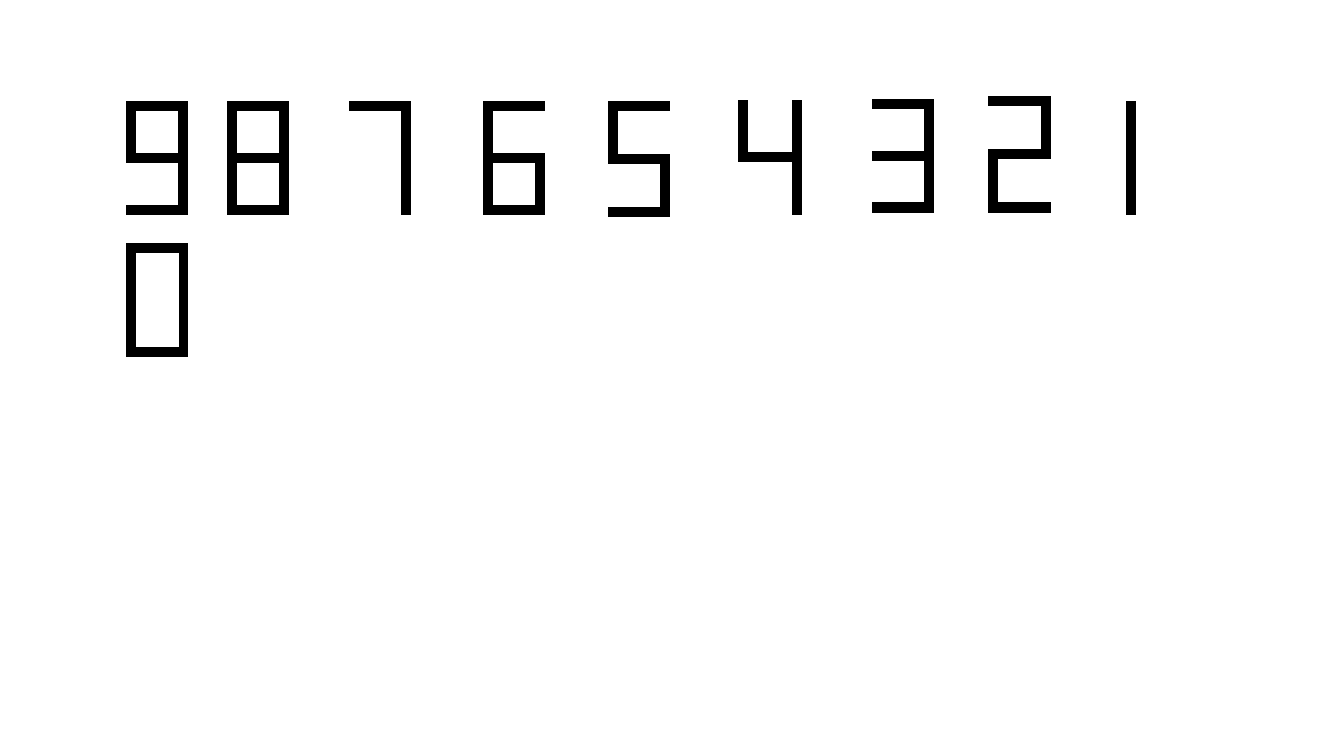
from lxml import etree
from pptx import Presentation
from pptx import util as u
from pptx.dml.color import RGBColor
from pptx.enum import shapes
from pptx.oxml import ns

COLORS = {"ink": "000000", "paper": "FFFFFF"}
STROKE = 0.2
ROW_TOP = 2.57
WIDTH, HEIGHT = 1.52, 2.82

OUTLINES = {
    9: ["a0 d0 d5 a5 a4 c4 c3 a3", "b1 c1 c2 b2"],
    8: ["a0 d0 d5 a5", "b1 c1 c2 b2", "b3 c3 c4 b4"],
    7: ["a0 d0 d5 c5 c1 a1"],
    6: ["a0 d0 d1 b1 b2 d2 d5 a5", "b3 c3 c4 b4"],
    5: ["a0 d0 d1 b1 b2 d2 d5 a5 a4 c4 c3 a3"],
    4: ["a0 b0 b2 c2 c0 d0 d5 c5 c3 a3"],
    3: ["a0 d0 d5 a5 a4 c4 c3 a3 a2 c2 c1 a1"],
    2: ["a0 d0 d3 b3 b4 d4 d5 a5 a2 c2 c1 a1"],
    1: ["a0 b0 b5 a5"],
}

PLACES = {
    9: (3.2, ROW_TOP, WIDTH, HEIGHT),
    8: (5.75, ROW_TOP, WIDTH, HEIGHT),
    7: (8.82, ROW_TOP, WIDTH, HEIGHT),
    6: (12.2, ROW_TOP, WIDTH, HEIGHT),
    5: (15.34, ROW_TOP, WIDTH, 2.87),
    4: (18.62, 2.54, 1.57, 2.84),
    3: (22, 2.53, WIDTH, 2.8),
    2: (24.93, 2.45, WIDTH, 2.88),
    1: (28.4, ROW_TOP, WIDTH, HEIGHT),
}


class DigitSlide:
    """Draws segment-style digits on one slide in a shared ink style."""

    def __init__(self, slide, ink, paper):
        self.slide = slide
        self.ink = RGBColor.from_string(ink)
        background = slide.background.fill
        background.solid()
        background.fore_color.rgb = RGBColor.from_string(paper)

    def apply_ink(self, digit):
        digit.shadow.inherit = False
        digit.fill.solid()
        digit.fill.fore_color.rgb = self.ink
        digit.line.color.rgb = self.ink
        digit.line.width = u.Pt(1.5)
        outline = digit.line._get_or_add_ln()
        etree.SubElement(outline, ns.qn("a:miter"), lim="800000")

    def outlined_digit(self, contours, left, top, width, height):
        middle = (height - STROKE) / 2
        columns = dict(zip("abcd", (0, STROKE, width - STROKE, width)))
        rows = dict(zip("012345", (0, STROKE, middle, middle + STROKE,
                                   height - STROKE, height)))
        builder = None
        for contour in contours:
            start, *corners = [(u.Cm(left + columns[column]), u.Cm(top + rows[row]))
                               for column, row in contour.split()]
            if builder is None:
                builder = self.slide.shapes.build_freeform(*start)
            else:
                builder.move_to(*start)
            builder.add_line_segments(corners, close=True)
        self.apply_ink(builder.convert_to_shape())

    def framed_digit(self, left, top, width, height):
        place = [u.Cm(length) for length in (left, top, width, height)]
        self.apply_ink(self.slide.shapes.add_shape(shapes.MSO_SHAPE.FRAME, *place))


def main():
    deck = Presentation()
    deck.slide_width, deck.slide_height = u.Cm(33.87), u.Cm(19.05)
    digits = DigitSlide(deck.slides.add_slide(deck.slide_layouts[6]),
                        COLORS["ink"], COLORS["paper"])
    for number, contours in OUTLINES.items():
        digits.outlined_digit(contours, *PLACES[number])
    digits.framed_digit(3.2, 6.15, WIDTH, HEIGHT)
    deck.save("out.pptx")


if __name__ == "__main__":
    main()
